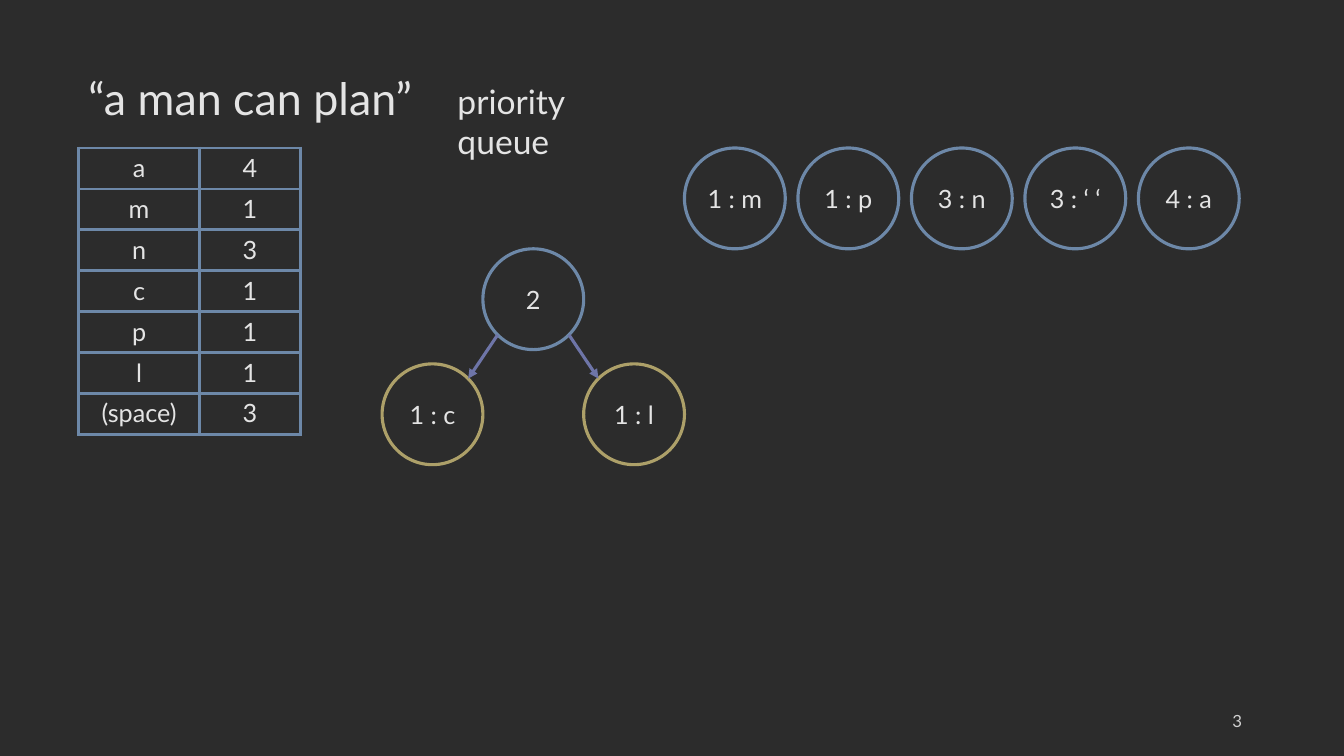
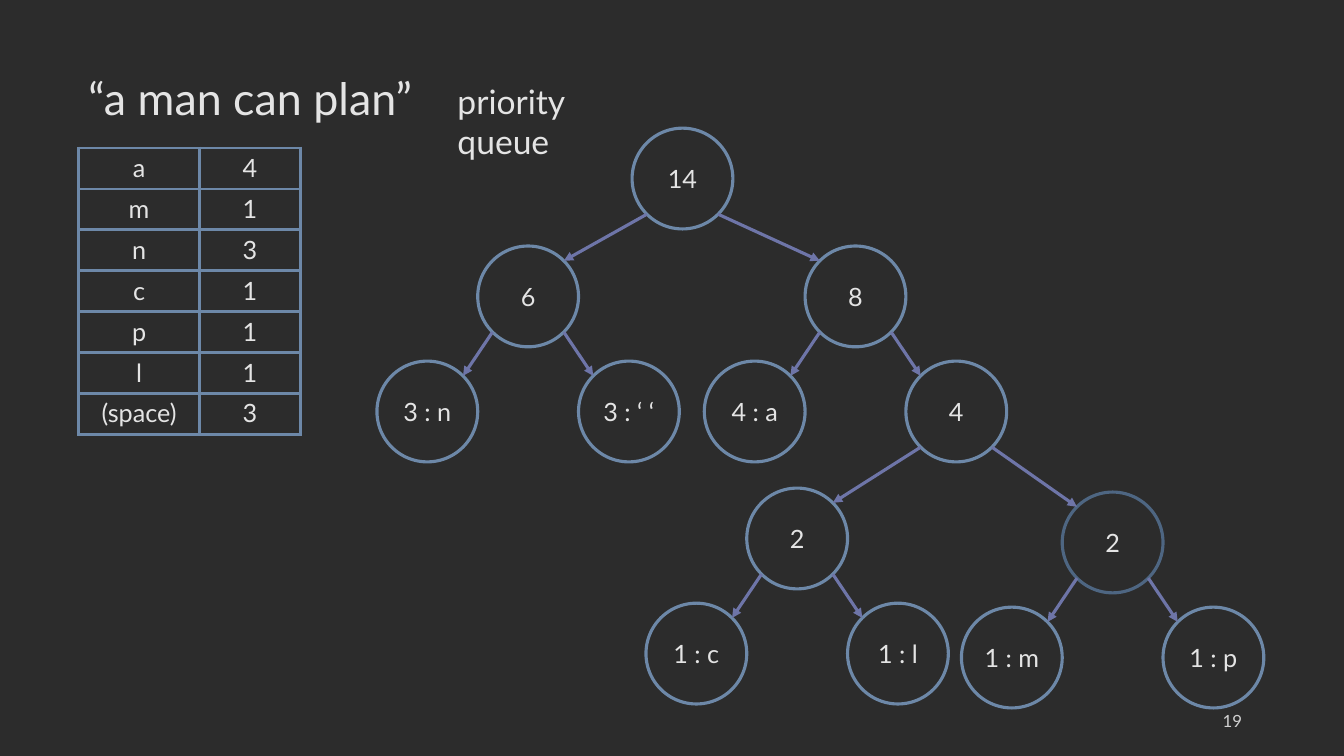
from lxml.etree import SubElement
from pptx import Presentation
from pptx.dml.color import RGBColor
from pptx.enum.shapes import MSO_CONNECTOR, MSO_SHAPE
from pptx.enum.text import MSO_ANCHOR, PP_ALIGN
from pptx.oxml import parse_xml
from pptx.oxml.ns import nsdecls, qn
from pptx.util import Cm, Pt

BACKGROUND = RGBColor(0x2C, 0x2C, 0x2C)
TEXT = RGBColor(0xE4, 0xE4, 0xE4)
MUTED = RGBColor(0xD1, 0xD1, 0xD1)
BLUE = RGBColor(0x6D, 0x88, 0xA8)
DARK_BLUE = RGBColor(0x4E, 0x66, 0x82)
GOLD = RGBColor(0xAD, 0xA0, 0x69)
VIOLET = RGBColor(0x6E, 0x75, 0xA8)
FONT = "Lato"
LINE = Pt(2.25)

# Lengths in centimetres
NODE = 2.54
NEAR, DOWN = 2.54, 2.9  # offset of a leaf from its parent
QUEUE_LEFT, QUEUE_TOP, QUEUE_STEP = 17.25, 3.73, 2.86
DIAGONAL = NODE / 2 * 0.5 ** 0.5

COUNTS = [("a", 4), ("m", 1), ("n", 3), ("c", 1), ("p", 1), ("l", 1), ("(space)", 3)]

# Tree nodes: key, label, parent, horizontal and vertical offset, outline.
# A root is placed from the slide corner.
PAGES = [
    {
        "number": "3",
        "queue": ["1 : m", "1 : p", "3 : n", "3 : ‘ ‘", "4 : a"],
        "tree": [
            ("pair", "2", None, 12.17, 6.27, BLUE),
            ("c", "1 : c", "pair", -NEAR, DOWN, GOLD),
            ("l", "1 : l", "pair", NEAR, DOWN, GOLD),
        ],
    },
    {
        "number": "19",
        "queue": [],
        "tree": [
            ("root", "14", None, 15.93, 3.23, BLUE),
            ("six", "6", "root", -3.89, 2.97, BLUE),
            ("eight", "8", "root", 4.36, 2.97, BLUE),
            ("n", "3 : n", "six", -NEAR, DOWN, BLUE),
            ("space", "3 : ‘ ‘", "six", NEAR, DOWN, BLUE),
            ("a", "4 : a", "eight", -NEAR, DOWN, BLUE),
            ("four", "4", "eight", NEAR, DOWN, BLUE),
            ("left pair", "2", "four", -4.01, 3.2, BLUE),
            ("right pair", "2", "four", 3.94, 3.3, DARK_BLUE),
            ("c", "1 : c", "left pair", -NEAR, DOWN, BLUE),
            ("l", "1 : l", "left pair", NEAR, DOWN, BLUE),
            ("m", "1 : m", "right pair", -NEAR, DOWN, BLUE),
            ("p", "1 : p", "right pair", NEAR, DOWN, BLUE),
        ],
    },
]


def write(frame, text, size=18, color=TEXT, align=PP_ALIGN.LEFT, anchor=MSO_ANCHOR.TOP):
    frame.word_wrap = True
    frame.vertical_anchor = anchor
    para = frame.paragraphs[0]
    para.alignment = align
    span = para.add_run()
    span.text = text
    span.font.name = FONT
    span.font.size = Pt(size)
    span.font.color.rgb = color


def add_node(page, label, left, top, outline):
    circle = page.shapes.add_shape(MSO_SHAPE.OVAL, Cm(left), Cm(top), Cm(NODE), Cm(NODE))
    circle.shadow.inherit = False
    circle.fill.background()
    circle.line.color.rgb = outline
    circle.line.width = LINE
    frame = circle.text_frame
    frame.margin_left = frame.margin_right = frame.margin_top = frame.margin_bottom = 0
    write(frame, label, align=PP_ALIGN.CENTER, anchor=MSO_ANCHOR.MIDDLE)


deck = Presentation()
deck.slide_width = Cm(33.87)
deck.slide_height = Cm(19.05)
backdrop = deck.slide_master.background.fill
backdrop.solid()
backdrop.fore_color.rgb = BACKGROUND

for content in PAGES:
    page = deck.slides.add_slide(deck.slide_layouts[6])

    # Slide number and headings
    box = page.shapes.add_textbox(Cm(23.93), Cm(17.66), Cm(7.62), Cm(1.01))
    write(box.text_frame, content["number"], size=12, color=MUTED,
          align=PP_ALIGN.RIGHT, anchor=MSO_ANCHOR.MIDDLE)
    box = page.shapes.add_textbox(Cm(1.98), Cm(1.65), Cm(9), Cm(1.62))
    write(box.text_frame, "“a man can plan”", size=32)
    box = page.shapes.add_textbox(Cm(11.28), Cm(1.91), Cm(5.4), Cm(1.28))
    write(box.text_frame, "priority queue", size=24)

    # Letter counts
    table = page.shapes.add_table(len(COUNTS), 2, Cm(1.98), Cm(3.73),
                                  Cm(5.59), Cm(1.03 * len(COUNTS))).table
    table.first_row = table.horz_banding = False
    table.columns[0].width = Cm(3.05)
    table.columns[1].width = Cm(2.54)
    for row, values in enumerate(COUNTS):
        for column, value in enumerate(values):
            cell = table.cell(row, column)
            cell.margin_top = cell.margin_bottom = Cm(0.12)
            write(cell.text_frame, str(value), align=PP_ALIGN.CENTER)
            properties = cell._tc.get_or_add_tcPr()
            for side in "LRTB":
                properties.append(parse_xml(
                    f'<a:ln{side} {nsdecls("a")} w="{LINE}"><a:solidFill>'
                    f'<a:srgbClr val="{BLUE}"/></a:solidFill></a:ln{side}>'))
            cell.fill.background()

    # Priority queue
    for index, label in enumerate(content["queue"]):
        add_node(page, label, QUEUE_LEFT + index * QUEUE_STEP, QUEUE_TOP, BLUE)

    # Tree nodes, each with an arrow from its parent
    places = {None: (0, 0)}
    for key, label, parent, across, down, outline in content["tree"]:
        parent_left, parent_top = places[parent]
        left, top = places[key] = parent_left + across, parent_top + down
        add_node(page, label, left, top, outline)
        if parent is None:
            continue
        shift = DIAGONAL if across > 0 else -DIAGONAL
        arrow = page.shapes.add_connector(
            MSO_CONNECTOR.STRAIGHT,
            Cm(parent_left + NODE / 2 + shift), Cm(parent_top + NODE / 2 + DIAGONAL),
            Cm(left + NODE / 2 - shift), Cm(top + NODE / 2 - DIAGONAL))
        arrow.line.color.rgb = VIOLET
        arrow.line.width = LINE
        SubElement(arrow.line._get_or_add_ln(), qn("a:tailEnd"), type="triangle")
        SubElement(arrow._element.spPr, qn("a:effectLst"))

deck.save("out.pptx")
